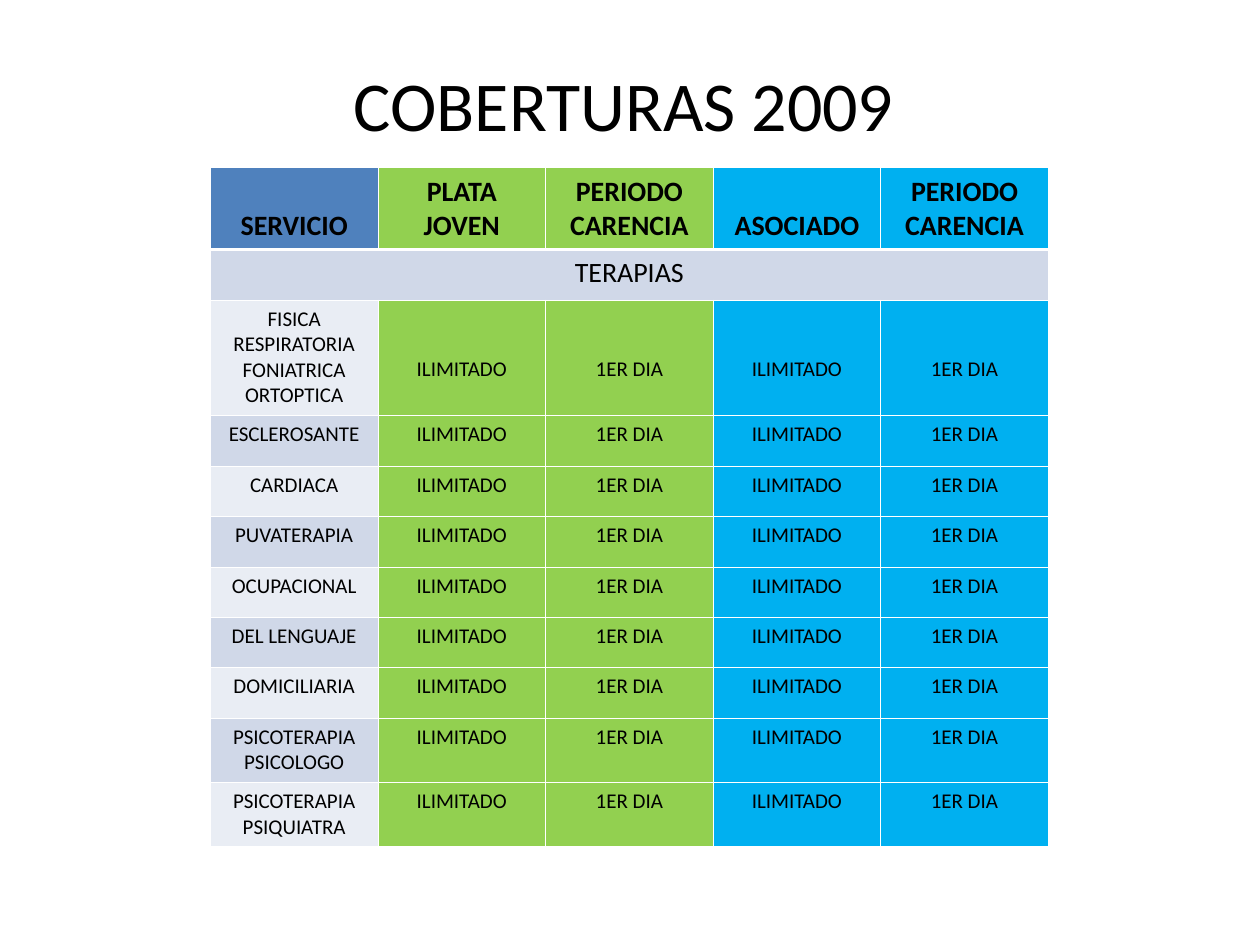
"""Build the COBERTURAS 2009 slide with its table of therapy cover."""
import pptx
import pptx.util
import pptx.dml.color
import pptx.enum.text
import pptx.oxml.ns
import lxml.etree

Inches, Pt = pptx.util.Inches, pptx.util.Pt
RGBColor = pptx.dml.color.RGBColor
ANCHOR = pptx.enum.text.MSO_ANCHOR
BLACK = RGBColor(0x00, 0x00, 0x00)
WHITE = RGBColor(0xFF, 0xFF, 0xFF)
NAVY = RGBColor(0x4F, 0x81, 0xBD)
GREEN = RGBColor(0x92, 0xD0, 0x50)
BLUE = RGBColor(0x00, 0xB0, 0xF0)
DARK = RGBColor(0xD0, 0xD8, 0xE8)
LIGHT = RGBColor(0xE9, 0xED, 0xF4)
THIN, THICK = 0.45, 1.47


def write(frame, text, size=12, bold=False, color=BLACK):
    frame.word_wrap = True
    par = frame.paragraphs[0]
    par.alignment = pptx.enum.text.PP_ALIGN.CENTER
    run = par.add_run()
    run.text = text
    run.font.name = "Calibri"
    run.font.size = Pt(size)
    run.font.bold = bold
    run.font.color.rgb = color


def border(cell, top=THIN, bottom=THIN):
    props = cell._tc.get_or_add_tcPr()
    qn = pptx.oxml.ns.qn
    for side, width in (("L", THIN), ("R", THIN), ("T", top), ("B", bottom)):
        line = lxml.etree.SubElement(props, qn(f"a:ln{side}"), w=str(Pt(width)))
        fill = lxml.etree.SubElement(line, qn("a:solidFill"))
        lxml.etree.SubElement(fill, qn("a:srgbClr"), val=str(WHITE))


deck = pptx.Presentation()
deck.slide_width, deck.slide_height = Inches(10), Inches(7.5)
slide = deck.slides.add_slide(deck.slide_layouts[5])

title = slide.shapes.title
title.left, title.top = Inches(0.7), Inches(0.47)
title.width, title.height = Inches(8.5), Inches(0.7)
title.text_frame.vertical_anchor = ANCHOR.MIDDLE
write(title.text_frame, "COBERTURAS 2009", size=40)

heads = ["SERVICIO", "PLATA JOVEN", "PERIODO CARENCIA", "ASOCIADO", "PERIODO CARENCIA"]
names = [
    "FISICA RESPIRATORIA FONIATRICA ORTOPTICA", "ESCLEROSANTE", "CARDIACA",
    "PUVATERAPIA", "OCUPACIONAL", "DEL LENGUAJE", "DOMICILIARIA",
    "PSICOTERAPIA PSICOLOGO", "PSICOTERAPIA PSIQUIATRA",
]
cover = ["ILIMITADO", "1ER DIA"] * 2
rows = [heads, ["TERAPIAS"] + [""] * 4] + [[name] + cover for name in names]
tints = [GREEN, GREEN, BLUE, BLUE]
heights = [0.65, 0.4, 0.92] + [0.4] * 6 + [0.51] * 2

frame = slide.shapes.add_table(
    len(rows), len(heads), Inches(1.67), Inches(1.33), Inches(6.67), Inches(5.37))
table = frame.table
table.first_row = table.horz_banding = False
for col in table.columns:
    col.width = Inches(1.33)
for row, height in zip(table.rows, heights):
    row.height = Inches(height)
table.cell(1, 0).merge(table.cell(1, 4))

for i, row in enumerate(rows):
    first = NAVY if i == 0 else DARK if i % 2 else LIGHT
    fills = [DARK] * 5 if i == 1 else [first] + tints
    for j, (text, fill) in enumerate(zip(row, fills)):
        cell = table.cell(i, j)
        border(cell, top=THICK if i == 1 else THIN, bottom=THICK if i == 0 else THIN)
        cell.fill.solid()
        cell.fill.fore_color.rgb = fill
        cell.vertical_anchor = ANCHOR.BOTTOM if i == 0 else ANCHOR.TOP
        cell.margin_left = cell.margin_right = Inches(0.1)
        cell.margin_top = Inches(0.45 if i == 2 and j else 0.05)
        cell.margin_bottom = Inches(0.05)
        if text:
            write(cell.text_frame, text, size=16 if i < 2 else 12, bold=i == 0)

deck.save("out.pptx")
